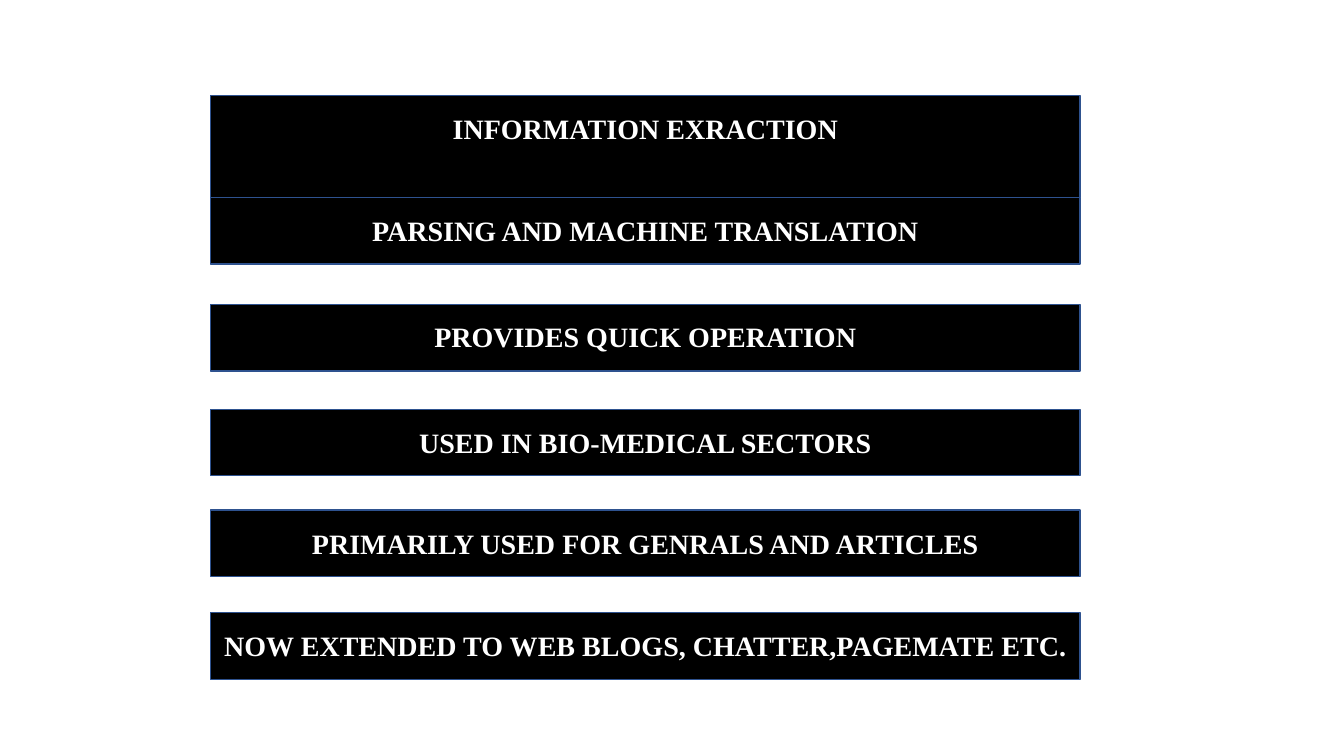
from dataclasses import dataclass

from pptx import Presentation
from pptx.dml.color import RGBColor
from pptx.enum.shapes import MSO_SHAPE
from pptx.enum.text import MSO_ANCHOR, PP_ALIGN
from pptx.slide import Slide
from pptx.util import Emu, Pt

RECT = MSO_SHAPE.RECTANGLE
TOP = MSO_ANCHOR.TOP
CENTER = PP_ALIGN.CENTER


@dataclass(frozen=True)
class Theme:
    fill: RGBColor = RGBColor(0, 0, 0)
    edge: RGBColor = RGBColor(0x2E, 0x52, 0x8F)
    ink: RGBColor = RGBColor(255, 255, 255)
    font: str = "Times New Roman"
    size: Pt = Pt(20)
    line: Pt = Pt(0.96)


@dataclass(frozen=True)
class Bar:
    text: str
    top: int
    height: int = 66
    inset: int = 16


THEME = Theme()
LEFT, WIDTH = 209, 862
BARS = (
    Bar("INFORMATION EXRACTION", 95, height=101),
    Bar("PARSING AND MACHINE TRANSLATION", 196),
    Bar("PROVIDES QUICK OPERATION", 302, inset=15),
    Bar("USED IN BIO-MEDICAL SECTORS", 406),
    Bar("PRIMARILY USED FOR GENRALS AND ARTICLES", 506),
    Bar("NOW EXTENDED TO WEB BLOGS, CHATTER,PAGEMATE ETC.", 608),
)


def px(count: int) -> Emu:
    return Emu(count * 9144)


def style(target: object, values: dict[str, object]) -> None:
    for name, value in values.items():
        setattr(target, name, value)


def draw_bar(slide: Slide, bar: Bar) -> None:
    box = slide.shapes.add_shape(RECT, px(LEFT), px(bar.top), px(WIDTH), px(bar.height))
    box.shadow.inherit = False
    box.fill.solid()
    box.fill.fore_color.rgb = THEME.fill
    box.line.color.rgb = THEME.edge
    box.line.width = THEME.line
    frame = box.text_frame
    style(frame, {
        "margin_left": 0, "margin_right": 0, "margin_bottom": 0,
        "margin_top": px(bar.inset), "vertical_anchor": TOP, "word_wrap": True,
    })
    para = frame.paragraphs[0]
    para.alignment = CENTER
    run = para.add_run()
    run.text = bar.text
    style(run.font, {"name": THEME.font, "size": THEME.size, "bold": True})
    run.font.color.rgb = THEME.ink


def main() -> None:
    """Build the slide of stacked application bars."""
    deck = Presentation()
    style(deck, {"slide_width": px(1333), "slide_height": px(750)})
    slide = deck.slides.add_slide(deck.slide_layouts[6])
    for bar in BARS:
        draw_bar(slide, bar)
    deck.save("out.pptx")


if __name__ == "__main__":
    main()
